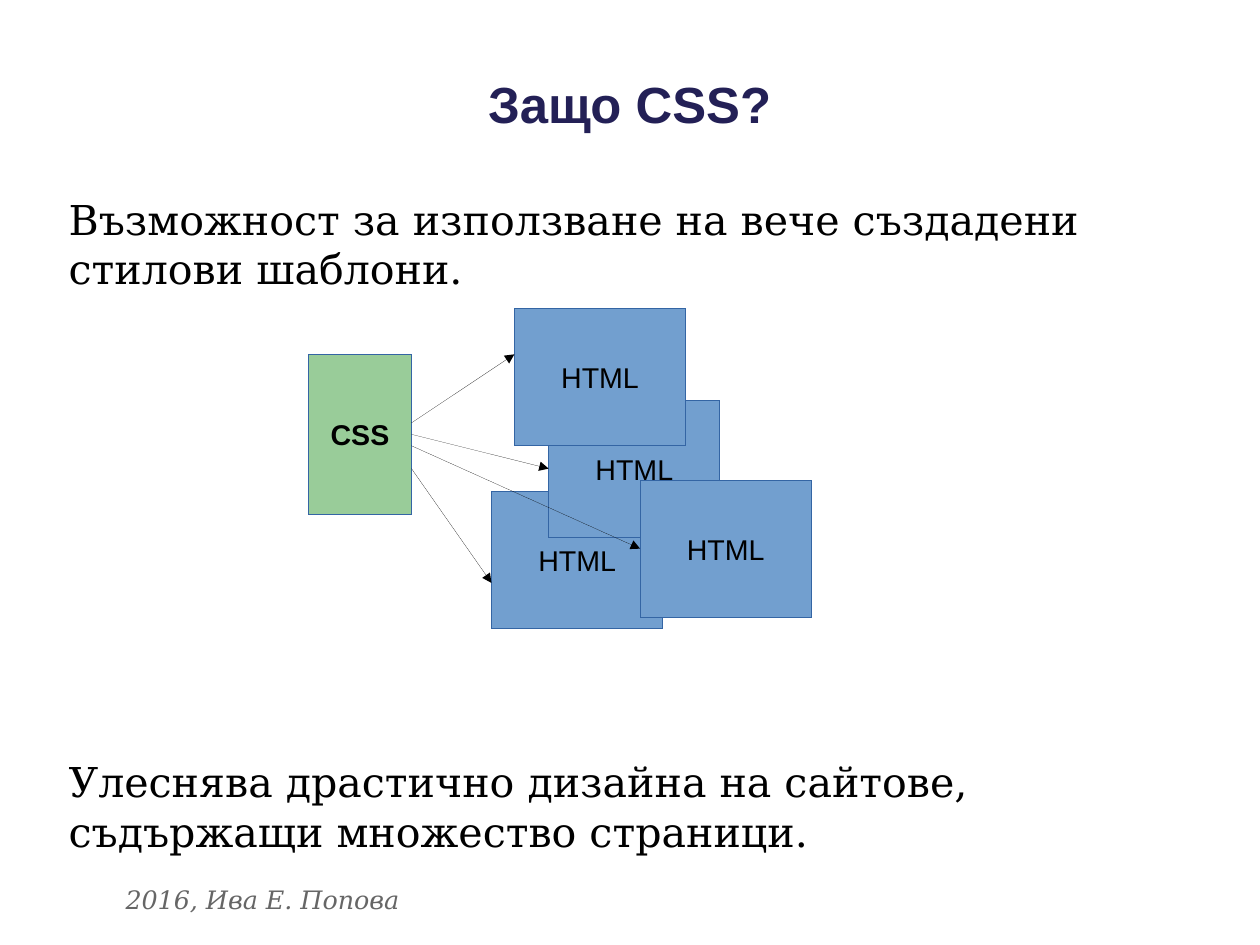
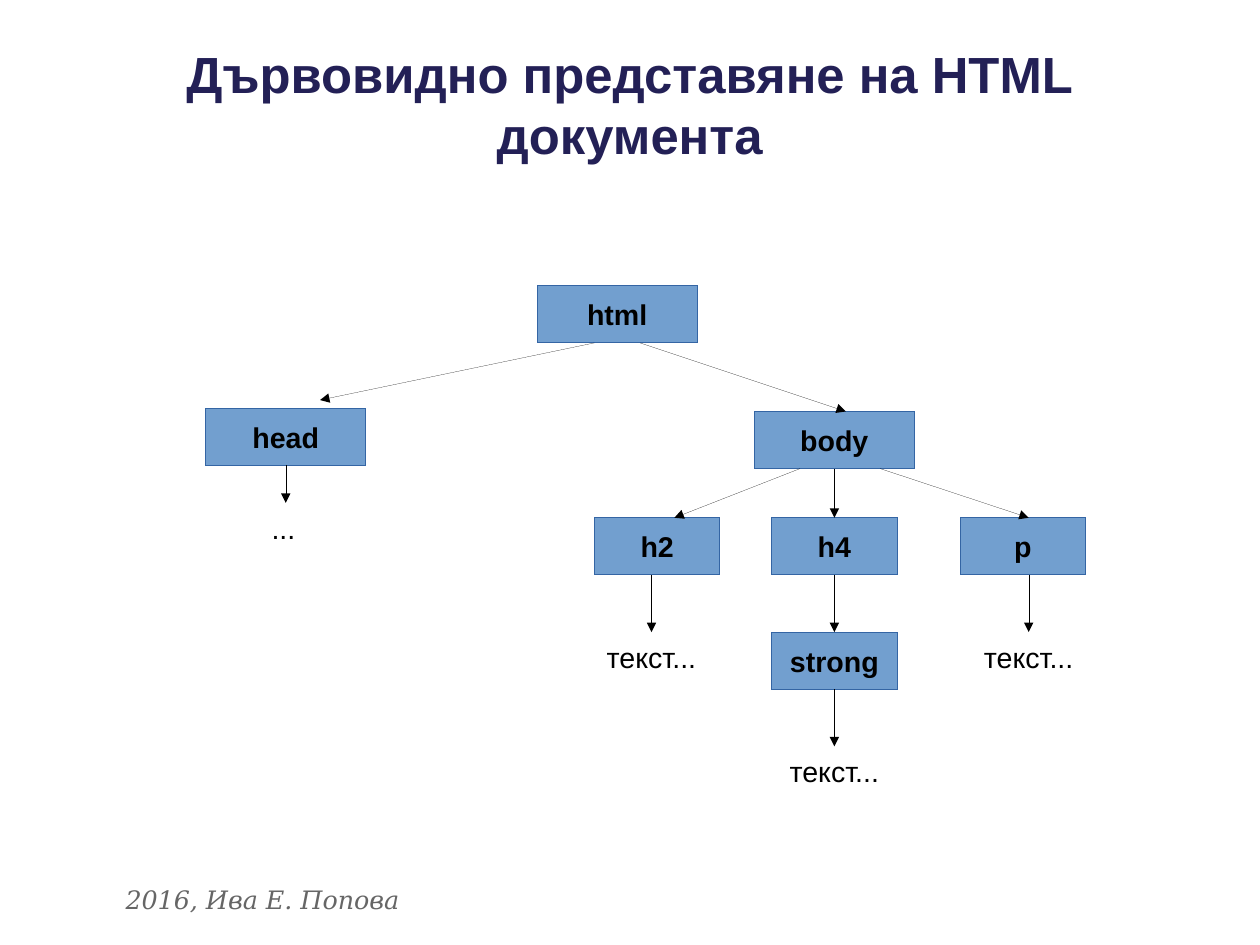
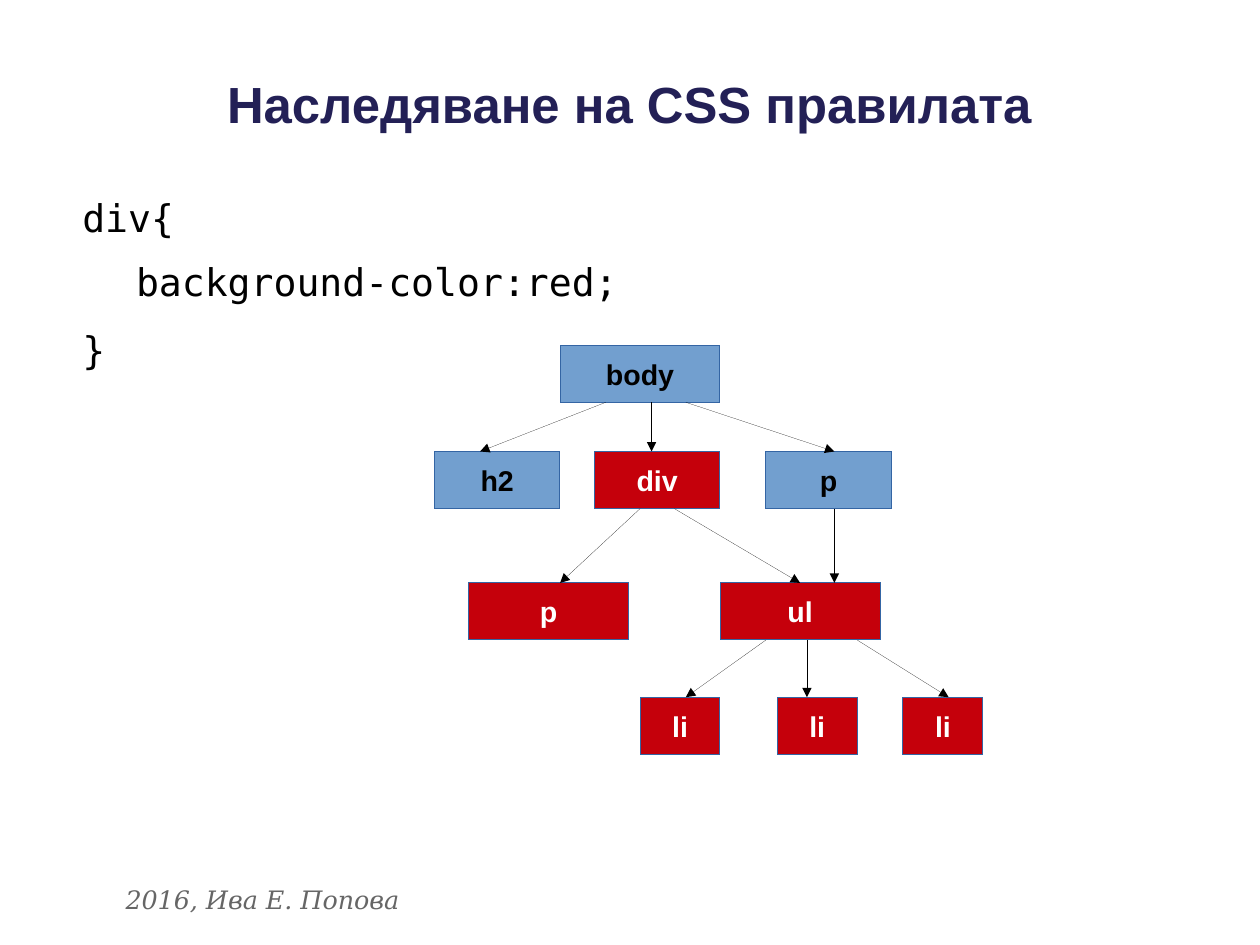
from dataclasses import dataclass

from lxml.etree import SubElement
from pptx import Presentation
from pptx.dml.color import RGBColor
from pptx.enum.shapes import MSO_CONNECTOR, MSO_SHAPE
from pptx.enum.text import MSO_ANCHOR, MSO_AUTO_SIZE, PP_ALIGN
from pptx.oxml.ns import qn
from pptx.util import Inches, Pt


@dataclass(frozen=True)
class Theme:
    navy: str = "232056"
    black: str = "000000"
    white: str = "FFFFFF"
    gray: str = "666666"
    blue: str = "729FCF"
    green: str = "99CC99"
    red: str = "C5000B"
    outline: str = "3465A4"
    hairline: str = "0"
    sans: str = "Arial"
    serif: str = "DejaVu Serif"
    mono: str = "DejaVu Sans Mono"
    title_size: float = 32
    prose_size: float = 25.9
    code_size: float = 24
    label_size: float = 18
    footer_size: float = 16


theme = Theme()


def write(frame, text, font=theme.sans, size=theme.label_size, color=theme.black,
          bold=False, italic=False, align=PP_ALIGN.LEFT, before=0, level=0, indent=None):
    para = frame.paragraphs[0]
    if para.runs:
        para = frame.add_paragraph()
    para.alignment = align
    para.level = level
    para.space_before = Pt(before)
    if indent is not None:
        properties = para._p.get_or_add_pPr()
        properties.set("marL", str(Inches(indent)))
        properties.set("indent", "0")
        SubElement(properties, qn("a:buNone"))
    span = para.add_run()
    span.text = text
    span.font.name = font
    span.font.size = Pt(size)
    span.font.bold = bold
    span.font.italic = italic
    span.font.color.rgb = RGBColor.from_string(color)


def place(shape, left, top, width, height):
    shape.left, shape.top = Inches(left), Inches(top)
    shape.width, shape.height = Inches(width), Inches(height)
    frame = shape.text_frame
    frame.margin_left = frame.margin_right = 0
    frame.margin_top = frame.margin_bottom = 0
    frame.word_wrap = True
    frame.auto_size = MSO_AUTO_SIZE.NONE
    return frame


box_styles = {
    "stylesheet": dict(height=1.4, fill=theme.green, color=theme.black, bold=True),
    "page": dict(height=1.2, fill=theme.blue, color=theme.black, bold=False),
    "tag": dict(height=0.5, fill=theme.blue, color=theme.black, bold=True),
    "styled tag": dict(height=0.5, fill=theme.red, color=theme.white, bold=True),
}
prose = dict(font=theme.serif, size=theme.prose_size, indent=0)
code = dict(font=theme.mono, size=theme.code_size, before=14.2, indent=0.12)

pages = [
    dict(
        title="Защо CSS?",
        body=[
            ("Възможност за използване на вече създадени стилови шаблони.", prose),
            ("Улеснява драстично дизайна на сайтове, съдържащи множество страници.",
             prose | dict(before=292)),
        ],
        boxes=[
            ("stylesheet", 3.1, 0.9, [("CSS", 2.7)]),
            ("page", 4.3, 1.5, [("HTML", 4.3)]),
            ("page", 3.5, 1.5, [("HTML", 4.8)]),
            ("page", 2.7, 1.5, [("HTML", 4.5)]),
            ("page", 4.2, 1.5, [("HTML", 5.6)]),
        ],
        arrows=[
            (3.7, 3.1, [(3.6, 4.5)]),
            (3.8, 4.1, [(3.6, 4.8)]),
            (4.1, 5.1, [(3.6, 4.3)]),
            (3.9, 4.8, [(3.6, 5.6)]),
        ],
        labels=[],
    ),
    dict(
        title="Дървовидно представяне на HTML документа",
        body=[],
        boxes=[
            ("tag", 2.5, 1.4, [("html", 4.7)]),
            ("tag", 3.57, 1.4, [("head", 1.8)]),
            ("tag", 3.6, 1.4, [("body", 6.6)]),
            ("tag", 4.53, 1.1, [("h2", 5.2), ("h4", 6.75), ("p", 8.4)]),
            ("tag", 5.53, 1.1, [("strong", 6.75)]),
        ],
        arrows=[
            (3, 3.5, [(5.2, 2.8)]),
            (3, 3.6, [(5.6, 7.4)]),
            (4.07, 4.4, [(2.5, 2.5)]),
            (4.1, 4.53, [(7, 5.9), (7.3, 7.3), (7.7, 9)]),
            (5.03, 5.53, [(5.7, 5.7), (7.3, 7.3), (9, 9)]),
            (6.03, 6.53, [(7.3, 7.3)]),
        ],
        labels=[
            ("...", 1.98, 4.42),
            ("текст...", 5.2, 5.55),
            ("текст...", 8.5, 5.55),
            ("текст...", 6.8, 6.55),
        ],
    ),
    dict(
        title="Наследяване на CSS правилата",
        body=[
            ("div{", code),
            ("background-color:red;", code | dict(level=1, before=11.3, indent=0.59)),
            ("}", code),
        ],
        boxes=[
            ("tag", 3.02, 1.4, [("body", 4.9)]),
            ("tag", 3.95, 1.1, [("h2", 3.8), ("p", 6.7)]),
            ("styled tag", 3.95, 1.1, [("div", 5.2)]),
            ("styled tag", 5.1, 1.4, [("p", 4.1), ("ul", 6.3)]),
            ("styled tag", 6.1, 0.7, [("li", 5.6), ("li", 6.8), ("li", 7.9)]),
        ],
        arrows=[
            (3.52, 3.95, [(5.3, 4.2), (5.7, 5.7), (6, 7.3)]),
            (4.45, 5.1, [(5.6, 4.9), (5.9, 7), (7.3, 7.3)]),
            (5.6, 6.1, [(6.7, 6), (7.06, 7.06), (7.5, 8.3)]),
        ],
        labels=[],
    ),
]

deck = Presentation()
deck.slide_width, deck.slide_height = Inches(28 / 2.54), Inches(21 / 2.54)
title_and_body, title_only = deck.slide_layouts[1], deck.slide_layouts[5]

for page in pages:
    slide = deck.slides.add_slide(title_and_body if page["body"] else title_only)

    frame = place(slide.shapes.title, 0.55, 0.37, 9.92, 1.07)
    frame.vertical_anchor = MSO_ANCHOR.MIDDLE
    write(frame, page["title"], size=theme.title_size, color=theme.navy,
          bold=True, align=PP_ALIGN.CENTER)

    footer = slide.shapes.add_textbox(Inches(1), Inches(7.69), Inches(2.9), Inches(0.31))
    footer.text_frame.word_wrap = True
    write(footer.text_frame, "2016, Ива Е. Попова", font=theme.serif,
          size=theme.footer_size, color=theme.gray, italic=True)

    if page["body"]:
        frame = place(slide.placeholders[1], 0.6, 1.7, 9.6, 5.2)
        for text, style in page["body"]:
            write(frame, text, **style)

    for kind, top, width, row in page["boxes"]:
        style = box_styles[kind]
        for text, left in row:
            box = slide.shapes.add_shape(MSO_SHAPE.RECTANGLE, Inches(left), Inches(top),
                                         Inches(width), Inches(style["height"]))
            box.shadow.inherit = False
            box.fill.solid()
            box.fill.fore_color.rgb = RGBColor.from_string(style["fill"])
            box.line.color.rgb = RGBColor.from_string(theme.outline)
            box._element.spPr.find(qn("a:ln")).set("w", theme.hairline)
            box.text_frame.word_wrap = False
            box.text_frame.vertical_anchor = MSO_ANCHOR.MIDDLE
            write(box.text_frame, text, color=style["color"], bold=style["bold"],
                  align=PP_ALIGN.CENTER)

    for start_y, end_y, row in page["arrows"]:
        for start_x, end_x in row:
            arrow = slide.shapes.add_connector(MSO_CONNECTOR.STRAIGHT, Inches(start_x),
                                               Inches(start_y), Inches(end_x), Inches(end_y))
            arrow.line.color.rgb = RGBColor.from_string(theme.black)
            properties = arrow._element.spPr
            stroke = properties.find(qn("a:ln"))
            stroke.set("w", theme.hairline)
            SubElement(stroke, qn("a:tailEnd"), type="triangle")
            SubElement(properties, qn("a:effectLst"))

    for text, left, top in page["labels"]:
        label = slide.shapes.add_textbox(Inches(left), Inches(top), Inches(1), Inches(0.38))
        label.text_frame.word_wrap = True
        write(label.text_frame, text, align=PP_ALIGN.CENTER)

deck.save("out.pptx")
